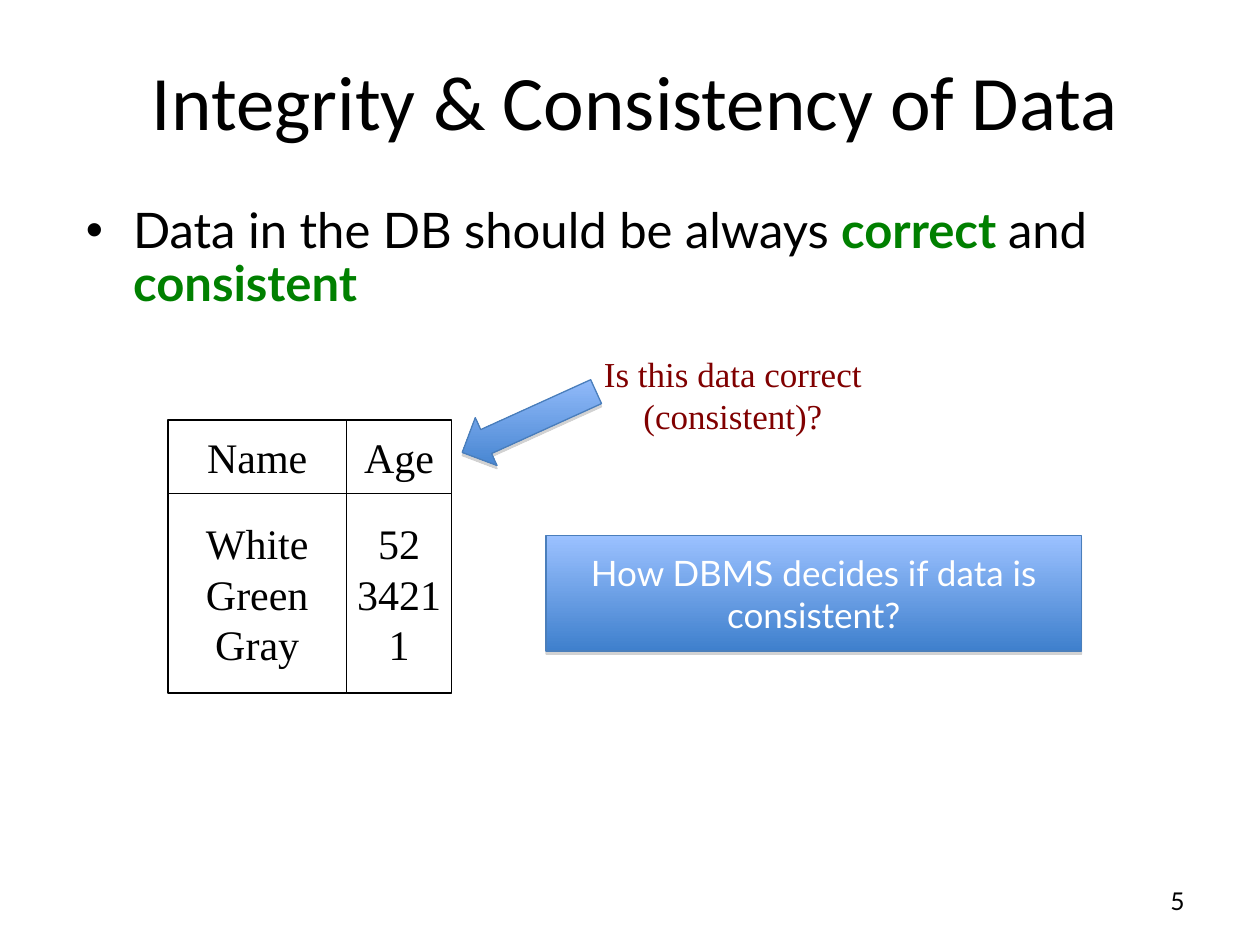
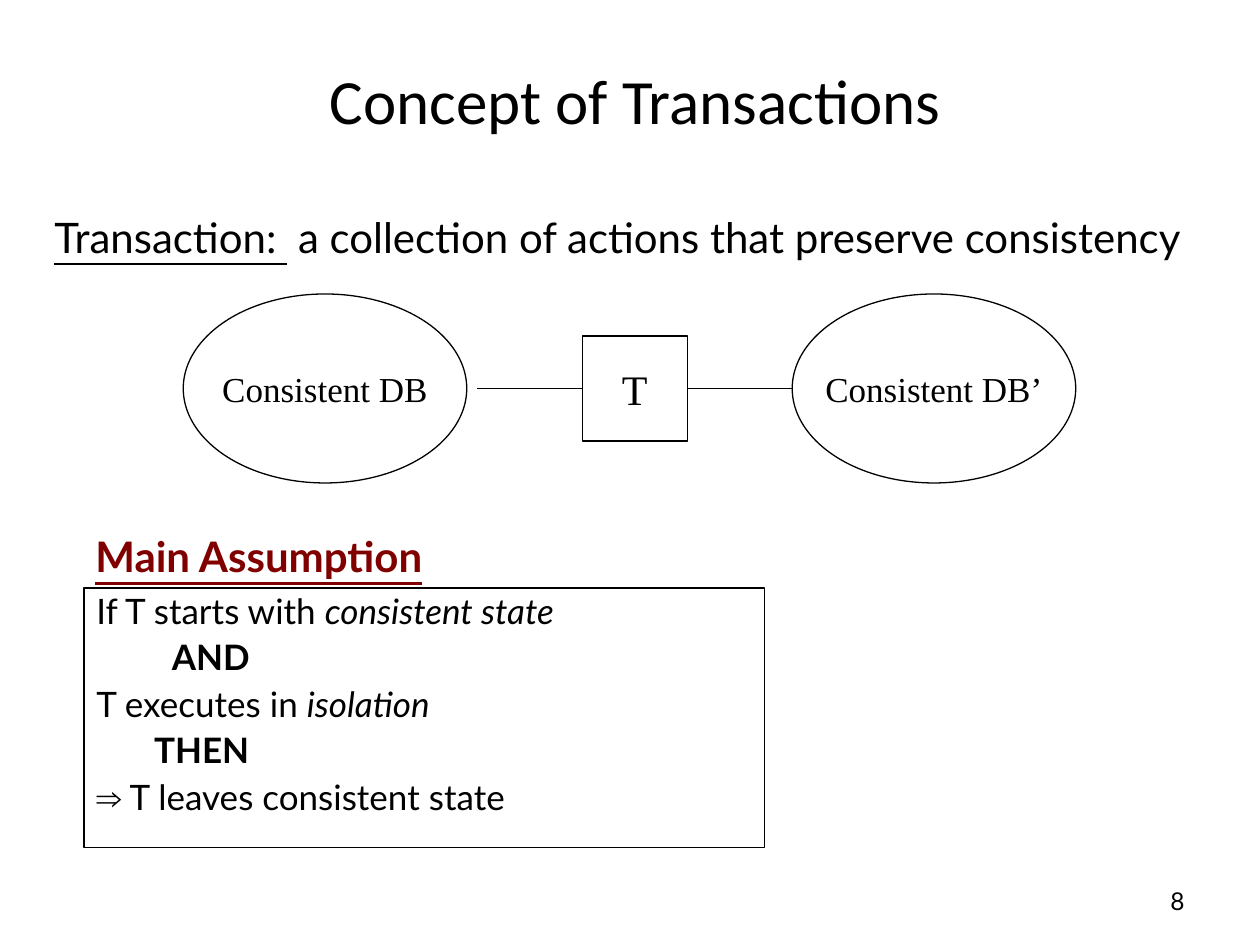
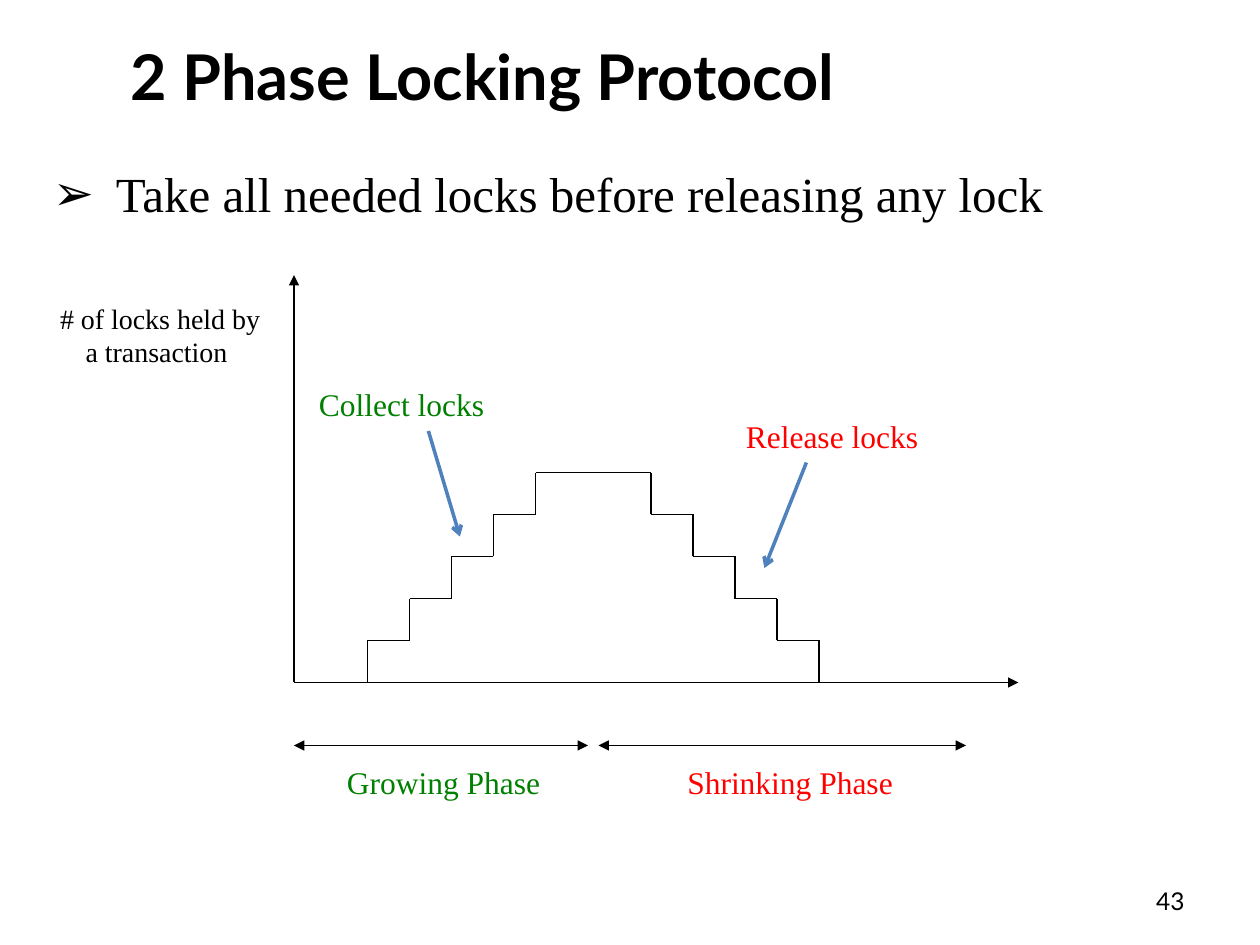
import dataclasses
import typing

import lxml.etree
import pptx
import pptx.dml.color
import pptx.enum.shapes
import pptx.enum.text
import pptx.oxml.ns
import pptx.util

COLS, ROWS = 120, 90
CELL = pptx.util.Inches(10) // COLS
COLOURS = {
    "black": "000000", "white": "FFFFFF", "green": "008000", "red": "FF0000",
    "maroon": "800000", "sky": "9BC1FF", "blue": "3F80CD", "edge": "4A7EBB",
    "arrow": "4F81BD", "shadow": "808080",
}
SANS, SERIF, TITLE_FONT = "Lato", "Times New Roman", "Calibri"
ALIGN = pptx.enum.text.PP_ALIGN
ANCHOR = pptx.enum.text.MSO_ANCHOR
SHAPE = pptx.enum.shapes.MSO_SHAPE
TITLE_ONLY = 5


@dataclasses.dataclass(frozen=True)
class Box:
    """A place on the slide, in grid columns and rows."""
    left: float
    top: float
    width: float
    height: float

    def emu(self) -> tuple[int, ...]:
        return tuple(grid(n) for n in dataclasses.astuple(self))


@dataclasses.dataclass(frozen=True)
class Run:
    text: str
    bold: bool = False
    italic: bool = False
    underline: bool = False
    colour: str = ""
    font: str = ""


@dataclasses.dataclass(frozen=True)
class Para:
    runs: tuple[Run, ...]
    indent: float = 0


@dataclasses.dataclass(frozen=True)
class Label:
    text: str
    box: Box
    colour: str
    size: int = 18


TITLE_BOX = Box(4, 2, 113, 15)
NUMBER_BOX = Box(86, 83.4, 28, 4.8)


def grid(n: float) -> int:
    return round(n * CELL)


def rgb(name: str) -> pptx.dml.color.RGBColor:
    return pptx.dml.color.RGBColor.from_string(COLOURS[name])


def add_xml(parent: typing.Any, tag: str, **attrs: str) -> typing.Any:
    return lxml.etree.SubElement(parent, pptx.oxml.ns.qn(tag), attrs)


def write(tf: typing.Any, content: typing.Any, *, size: int, font: str = SANS,
          colour: str = "black", align: typing.Any = ALIGN.LEFT,
          anchor: typing.Any = ANCHOR.TOP, wrap: bool = True, bold: bool = False,
          spacing: float | None = None, before: float = 0,
          bullet: str = "", hang: float = 0) -> None:
    """Fill a text frame from a string or a list of strings and Paras."""
    tf.auto_size = pptx.enum.text.MSO_AUTO_SIZE.NONE
    tf.word_wrap, tf.vertical_anchor = wrap, anchor
    for i, item in enumerate([content] if isinstance(content, str) else content):
        para = Para((Run(item, bold=bold),)) if isinstance(item, str) else item
        p = tf.add_paragraph() if i else tf.paragraphs[0]
        p.alignment, p.line_spacing = align, spacing
        p.space_before = pptx.util.Pt(before)
        pPr = p._p.get_or_add_pPr()
        if bullet:
            pPr.set("marL", str(grid(hang)))
            pPr.set("indent", str(-grid(hang)))
            add_xml(pPr, "a:buFont", typeface="Arial")
            add_xml(pPr, "a:buChar", char=bullet)
        elif para.indent:
            pPr.set("marL", str(grid(para.indent)))
        for run in para.runs:
            r = p.add_run()
            r.text = run.text
            r.font.size, r.font.name = pptx.util.Pt(size), run.font or font
            r.font.bold, r.font.italic = run.bold, run.italic
            r.font.underline = run.underline
            r.font.color.rgb = rgb(run.colour or colour)


def add_text(slide: typing.Any, box: Box, content: typing.Any, **fmt: typing.Any) -> None:
    write(slide.shapes.add_textbox(*box.emu()).text_frame, content, **fmt)


def add_label(slide: typing.Any, label: Label) -> None:
    add_text(slide, label.box, label.text, size=label.size, font=SERIF,
             colour=label.colour, align=ALIGN.CENTER)


def add_outlined(slide: typing.Any, kind: typing.Any, box: Box,
                 fill: str = "", line: str = "black") -> typing.Any:
    sp = slide.shapes.add_shape(kind, *box.emu())
    sp.shadow.inherit = False
    if fill:
        sp.fill.solid()
        sp.fill.fore_color.rgb = rgb(fill)
    else:
        sp.fill.background()
    sp.line.color.rgb, sp.line.width = rgb(line), pptx.util.Pt(0.75)
    return sp


def add_node(slide: typing.Any, kind: typing.Any, box: Box, content: typing.Any,
             size: int = 24) -> None:
    """Add a white outlined shape with centred serif text."""
    sp = add_outlined(slide, kind, box, fill="white")
    write(sp.text_frame, content, size=size, font=SERIF, align=ALIGN.CENTER,
          anchor=ANCHOR.MIDDLE, wrap=False)


def add_glossy(slide: typing.Any, kind: typing.Any, box: Box, rotation: float = 0) -> typing.Any:
    """Add a shape with a light-to-dark gradient and a thin drop shadow."""
    sp = add_outlined(slide, kind, box, line="edge")
    sp.rotation = rotation
    sp.fill.gradient()
    sp.fill.gradient_angle = 270 if not rotation else rotation - 90
    for stop, name in zip(sp.fill.gradient_stops, ("sky", "blue")):
        stop.color.rgb = rgb(name)
    effects = sp.element.spPr.find(pptx.oxml.ns.qn("a:effectLst"))
    shadow = add_xml(effects, "a:outerShdw", blurRad="0", dist=str(pptx.util.Pt(1.8)),
                     dir="5400000", rotWithShape="0")
    add_xml(add_xml(shadow, "a:srgbClr", val=COLOURS["shadow"]), "a:alpha", val="35000")
    return sp


def add_line(slide: typing.Any, x1: float, y1: float, x2: float, y2: float, *,
             head: str = "", colour: str = "black", width: float = 0.75) -> None:
    """Draw a line whose arrowhead, if any, sits at its second point."""
    cxn = slide.shapes.add_connector(pptx.enum.shapes.MSO_CONNECTOR.STRAIGHT,
                                     *(grid(n) for n in (x1, y1, x2, y2)))
    cxn.line.color.rgb, cxn.line.width = rgb(colour), pptx.util.Pt(width)
    spPr = cxn.element.spPr
    if head:
        add_xml(spPr.find(pptx.oxml.ns.qn("a:ln")), "a:tailEnd", type=head)
    add_xml(spPr, "a:effectLst")


def add_slide(prs: typing.Any, title: str, number: int, box: Box = TITLE_BOX,
              **fmt: typing.Any) -> typing.Any:
    slide = prs.slides.add_slide(prs.slide_layouts[TITLE_ONLY])
    sp = slide.shapes.title
    sp.left, sp.top, sp.width, sp.height = box.emu()
    style = {"font": TITLE_FONT, "align": ALIGN.CENTER, "anchor": ANCHOR.MIDDLE}
    write(sp.text_frame, title, **(style | fmt))
    add_text(slide, NUMBER_BOX, str(number), size=14, align=ALIGN.RIGHT, anchor=ANCHOR.MIDDLE)
    return slide


def build_integrity(prs: typing.Any) -> None:
    slide = add_slide(prs, "Integrity & Consistency of Data", 5, size=44)
    statement = Para((Run("Data in the DB should be always "),
                      Run("correct ", bold=True, colour="green"), Run("and "),
                      Run("consistent", bold=True, colour="green")))
    add_text(slide, Box(7, 19, 108, 15), [statement], size=28, spacing=0.9,
             before=7, bullet="•", hang=4.5)

    top, header_height, body_height = 40, 7, 19
    for left, width, header, values in ((16, 17, "Name", ["White", "Green", "Gray"]),
                                        (33, 10, "Age", ["52", "3421", "1"])):
        add_node(slide, SHAPE.RECTANGLE, Box(left, top, width, header_height), header)
        add_node(slide, SHAPE.RECTANGLE,
                 Box(left, top + header_height, width, body_height), values)

    question = add_glossy(slide, SHAPE.RECTANGLE, Box(52, 51, 51, 11))
    write(question.text_frame, "How DBMS decides if data is consistent?", size=20,
          colour="white", align=ALIGN.CENTER, anchor=ANCHOR.MIDDLE)
    add_glossy(slide, SHAPE.LEFT_ARROW, Box(43.4, 37.7, 14, 5), rotation=335.6)
    add_label(slide, Label("Is this data correct (consistent)?",
                           Box(52.6, 33, 34.4, 9.2), "maroon", 20))


def build_transactions(prs: typing.Any) -> None:
    slide = add_slide(prs, "Concept of Transactions", 8, size=36)
    definition = Para((Run("Transaction: ", underline=True),
                       Run(" a collection of actions that preserve consistency")))
    add_text(slide, Box(4, 15, 111, 15), [definition], size=24, anchor=ANCHOR.MIDDLE)

    add_node(slide, SHAPE.OVAL, Box(17.45, 28, 27, 18), "Consistent DB", size=20)
    add_node(slide, SHAPE.OVAL, Box(75.45, 28, 27, 18), "Consistent DB’", size=20)
    add_node(slide, SHAPE.RECTANGLE, Box(55.45, 32, 10, 10), "T")
    for x in (45.45, 65.45):
        add_line(slide, x, 37, x + 10, 37)

    heading = Para((Run("Main Assumption", bold=True, underline=True),))
    add_text(slide, Box(5.4, 49.95, 38.5, 6), [heading], size=24, colour="maroon",
             align=ALIGN.CENTER, wrap=False)
    assumption = add_outlined(slide, SHAPE.RECTANGLE, Box(8, 56, 64.8, 24.7))
    write(assumption.text_frame, [
        Para((Run("If T starts with "), Run("consistent state", italic=True))),
        Para((Run("AND", bold=True),), indent=7.2),
        Para((Run("T executes in "), Run("isolation", italic=True))),
        Para((Run("THEN", bold=True),), indent=5.5),
        Para((Run("⇒", font="Arial"), Run(" T leaves consistent state"))),
    ], size=20, spacing=0.9, before=5)


def draw_stairs(slide: typing.Any, foot: float, floor: float, direction: int) -> None:
    """Climb five steps from the foot, to the right (1) or to the left (-1)."""
    step = 4
    for i in range(5):
        x, y = foot + direction * step * i, floor - step * i
        add_line(slide, x, y, x, y - step)
        add_line(slide, x, y - step, x + direction * step, y - step)


def build_locking(prs: typing.Any) -> None:
    slide = add_slide(prs, "2 Phase Locking Protocol", 43, Box(11.25, 3, 92.3, 8.4),
                      size=36, font=SANS, bold=True, align=ALIGN.LEFT, anchor=ANCHOR.TOP)
    add_text(slide, Box(3.7, 15, 97, 6.9), "Take all needed locks before releasing any lock",
             size=28, font=SERIF, align=ALIGN.CENTER, wrap=False, bullet="➢", hang=6)

    origin, floor, phase_row = 28, 65, 71
    add_line(slide, origin, floor, 97, floor, head="triangle")
    add_line(slide, origin, floor, origin, 26.2, head="triangle")
    for start, middle, end in ((origin, 38, 56), (57, 77, 92)):
        for tip in (start, end):
            add_line(slide, middle, phase_row, tip, phase_row, head="triangle")
    draw_stairs(slide, 35, floor, 1)
    draw_stairs(slide, 78, floor, -1)
    add_line(slide, 55, 45, 59, 45)

    for x1, y1, x2, y2 in ((40.8, 41.05, 43.8, 51.1), (76.8, 44.05, 72.8, 54.1)):
        add_line(slide, x1, y1, x2, y2, head="arrow", colour="arrow", width=2)
    for label in (
            Label("# of locks held by a transaction ", Box(3.85, 28.1, 22.8, 7.7), "black", 16),
            Label("Growing Phase", Box(30.85, 72.1, 22.8, 4.8), "green"),
            Label("Shrinking Phase", Box(63.85, 72.1, 22.8, 4.8), "red"),
            Label("Collect locks", Box(26.85, 36.1, 22.8, 4.8), "green"),
            Label("Release locks", Box(67.85, 39.1, 22.8, 4.8), "red")):
        add_label(slide, label)


def main() -> None:
    prs = pptx.Presentation()
    prs.slide_width, prs.slide_height = grid(COLS), grid(ROWS)
    build_integrity(prs)
    build_transactions(prs)
    build_locking(prs)
    prs.save("out.pptx")


if __name__ == "__main__":
    main()
